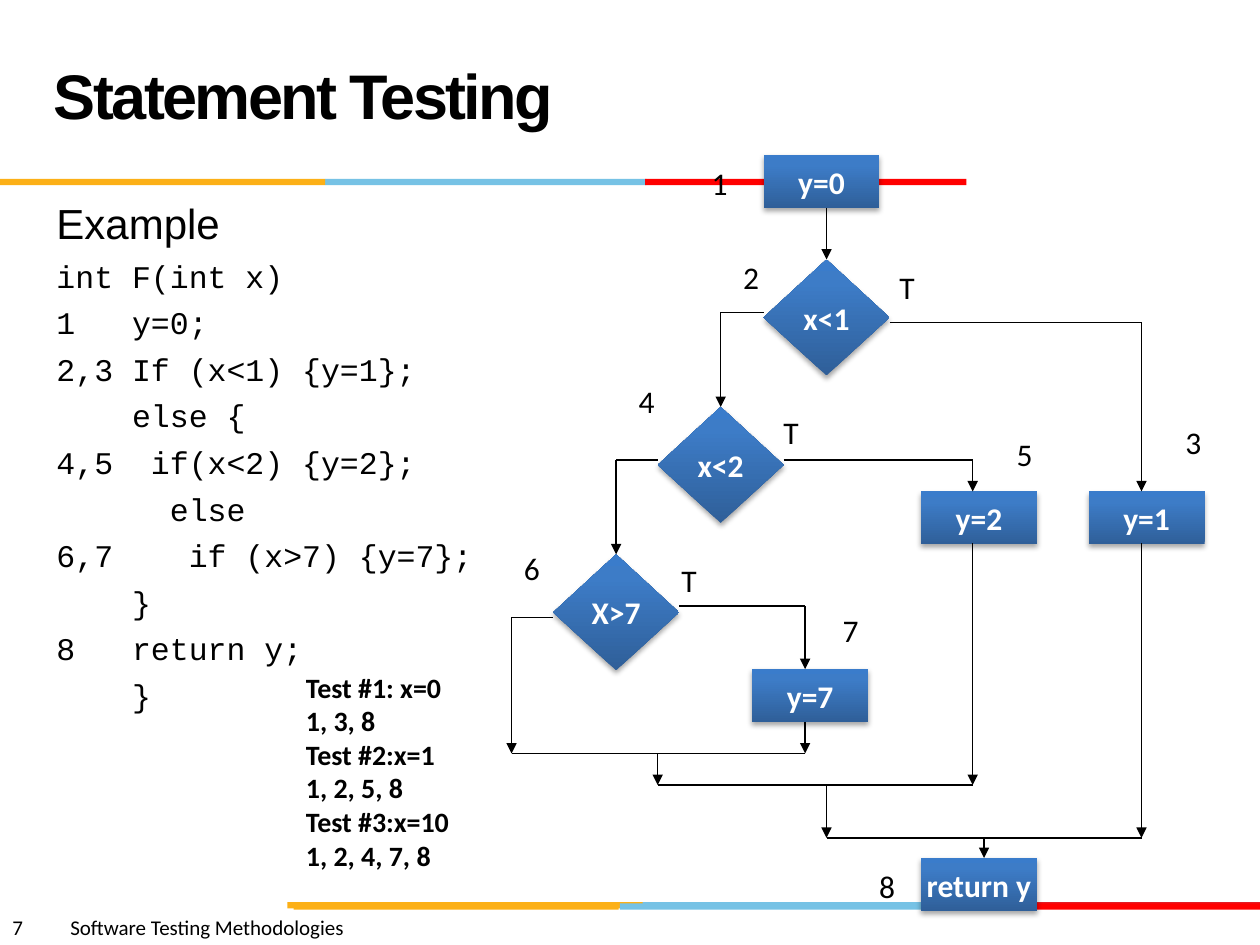
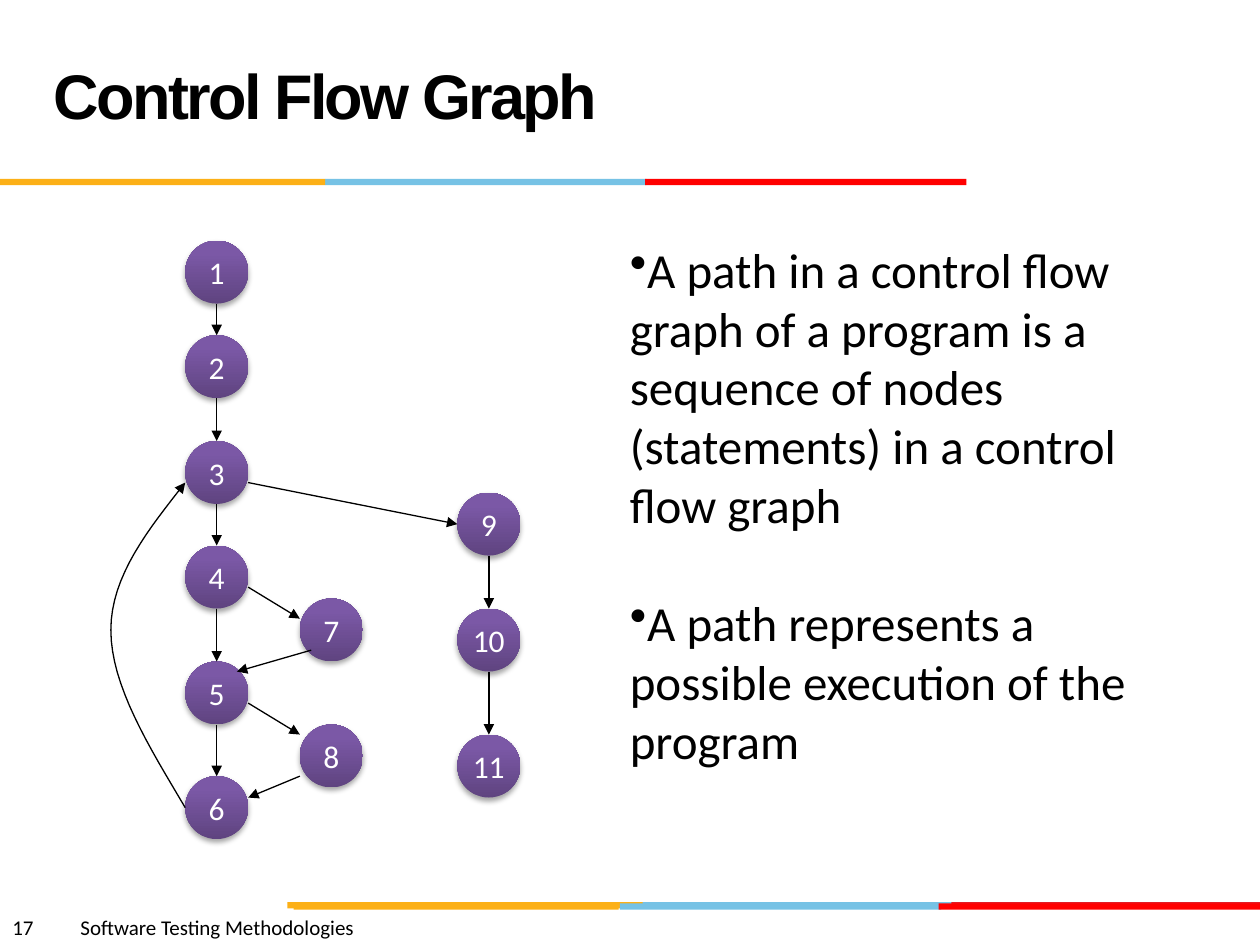
from pptx import Presentation
from pptx.dml.color import RGBColor
from pptx.enum.shapes import MSO_CONNECTOR, MSO_SHAPE
from pptx.enum.text import MSO_ANCHOR, PP_ALIGN
from pptx.oxml import parse_xml
from pptx.oxml.ns import nsdecls, qn
from pptx.util import Inches, Pt
from lxml import etree

RECT, DIAMOND = MSO_SHAPE.RECTANGLE, MSO_SHAPE.FLOWCHART_DECISION
CIRCLE = MSO_SHAPE.FLOWCHART_CONNECTOR
STRAIGHT = MSO_CONNECTOR.STRAIGHT
MIDDLE, CENTER = MSO_ANCHOR.MIDDLE, PP_ALIGN.CENTER

BLACK = RGBColor(0x00, 0x00, 0x00)
WHITE = RGBColor(0xFF, 0xFF, 0xFF)
ORANGE = RGBColor(0xFC, 0xB0, 0x17)
SKY = RGBColor(0x76, 0xC2, 0xE5)
CRIMSON = RGBColor(0xE3, 0x1C, 0x24)
RED = RGBColor(0xFF, 0x00, 0x00)
# Gradient stops from bottom to top: 0, 80 and 100 percent
BLUE_STOPS = [RGBColor(0x2F, 0x5F, 0x99), RGBColor(0x3D, 0x7C, 0xC7), RGBColor(0x3A, 0x7C, 0xCB)]
PURPLE_STOPS = [RGBColor(0x5F, 0x44, 0x80), RGBColor(0x7B, 0x58, 0xA6), RGBColor(0x7C, 0x57, 0xA8)]

# ---- Shared content ----
COURSE = "Software Testing Methodologies"
BAND_HEIGHT = 0.05
BANDS = [  # left, top, width, colour
    (5.06, 7.16, 2.55, SKY), (7.55, 7.16, 2.45, CRIMSON), (2.28, 7.16, 2.82, ORANGE),
    (4.92, 7.17, 2.55, SKY), (2.33, 7.17, 2.58, ORANGE), (7.45, 7.17, 2.55, RED),
    (2.58, 1.42, 2.55, SKY), (0, 1.42, 2.58, ORANGE), (5.12, 1.42, 2.55, RED),
]

# ---- Statement Testing ----
CODE = [
    "int F(int x)",
    "1   y=0;",
    "2,3 If (x<1) {y=1};",
    "    else {",
    "4,5  if(x<2) {y=2};",
    "      else",
    "6,7    if (x>7) {y=7};",
    "    }",
    "8   return y;",
    "    }",
]
TESTS = ["Test #1: x=0", "1, 3, 8", "Test #2:x=1", "1, 2, 5, 8", "Test #3:x=10", "1, 2, 4, 7, 8"]
STATEMENTS = {"y=0": (6.06, 1.23), "y=2": (7.31, 3.9), "y=1": (8.64, 3.9),
              "y=7": (5.97, 5.31), "return y": (7.31, 6.81)}
DECISIONS = {"x<1": (6.06, 2.06), "x<2": (5.22, 3.23), "X>7": (4.39, 4.4)}
ROUTES = [  # corner points, decision entered at its top
    ([(6.56, 1.65), (6.56, 2.06)], "x<1"),
    ([(6.06, 2.48), (5.72, 2.48), (5.72, 3.23)], "x<2"),
    ([(5.22, 3.65), (4.89, 3.65), (4.89, 4.4)], "X>7"),
    ([(4.39, 4.9), (4.06, 4.9), (4.06, 5.98)], None),
    ([(5.39, 4.81), (6.39, 4.81), (6.39, 5.31)], None),
    ([(6.39, 5.73), (6.39, 5.98)], None),
    ([(6.22, 3.65), (7.72, 3.65), (7.72, 3.9)], None),
    ([(7.06, 2.56), (9.06, 2.56), (9.06, 3.9)], None),
    ([(5.22, 5.98), (5.22, 6.23)], None),
    ([(7.72, 4.31), (7.72, 6.23)], None),
    ([(9.06, 4.31), (9.06, 6.65)], None),
    ([(6.56, 6.23), (6.56, 6.65)], None),
    ([(7.81, 6.65), (7.81, 6.81)], None),
]
MERGES = [(4.06, 6.39, 5.98), (5.22, 7.72, 6.23), (6.56, 9.06, 6.65)]  # from x, to x, y
LABELS = [
    ("T", 7.04, 2.08), ("T", 6.12, 3.23), ("T", 5.31, 4.4),
    ("1", 5.55, 1.25), ("2", 5.8, 2), ("3", 9.31, 3.31), ("4", 4.97, 2.98),
    ("5", 7.97, 3.4), ("6", 4.06, 4.31), ("7", 6.59, 4.8), ("8", 6.88, 6.83),
]

# ---- Control Flow Graph ----
NODE_SIZE = 0.5
NODE_COLUMNS = [  # left, {node: top}
    (1.47, {1: 1.91, 2: 2.66, 3: 3.5, 4: 4.33, 5: 5.25, 6: 6.16}),
    (2.38, {7: 4.75, 8: 5.75}),
    (3.63, {9: 3.91, 10: 4.83, 11: 5.83}),
]
STRAIGHT_DOWN = [0, 2]  # columns whose nodes follow one another
BRANCHES = [
    ((1.97, 4.66), (2.38, 4.91)), ((2.47, 5.16), (1.88, 5.33)),
    ((1.97, 5.58), (2.38, 5.83)), ((2.38, 6.16), (1.97, 6.33)),
    ((1.97, 3.83), (3.63, 4.16)),
]
LOOP_BACK = [  # Bezier curves from node 3 round to node 6
    [(1.47, 3.83), (1.18, 4.2), (0.88, 4.57), (0.88, 5)],
    [(0.88, 5), (0.88, 5.44), (1.18, 5.92), (1.47, 6.41)],
]
CURVE_STEPS = 16
PATH_NOTES = [
    "A path in a control flow graph of a program is a sequence of nodes (statements) "
    "in a control flow graph",
    "A path represents a possible execution of the program",
]


# ---- Helpers ----
def style(paragraph, size, font="Calibri", color=BLACK, bold=False):
    paragraph.font.size, paragraph.font.name = Pt(size), font
    paragraph.font.color.rgb, paragraph.font.bold = color, bold


def add_text(slide, left, top, width, height, lines, wrap=True):
    frame = slide.shapes.add_textbox(*map(Inches, (left, top, width, height))).text_frame
    frame.word_wrap = wrap
    frame.text = "\n".join(lines)
    return frame


def add_node(slide, kind, label, left, top, width, height, stops, bold):
    node = slide.shapes.add_shape(kind, *map(Inches, (left, top, width, height)))
    stop_xml = "".join(f'<a:gs pos="{pos}000"><a:srgbClr val="{color}"/></a:gs>'
                       for pos, color in zip((0, 80, 100), stops))
    properties = node._element.spPr
    properties.append(parse_xml(
        f'<a:gradFill {nsdecls("a")} rotWithShape="1"><a:gsLst>{stop_xml}</a:gsLst>'
        '<a:lin ang="16200000" scaled="0"/></a:gradFill>'))
    node.line.fill.background()
    properties.append(parse_xml(
        f'<a:effectLst {nsdecls("a")}><a:outerShdw blurRad="{Pt(3.1)}" dist="{Pt(1.8)}" '
        'dir="5400000" rotWithShape="0"><a:srgbClr val="000000"><a:alpha val="35000"/>'
        '</a:srgbClr></a:outerShdw></a:effectLst>'))
    frame = node.text_frame
    frame.text, frame.word_wrap, frame.vertical_anchor = label, False, MIDDLE
    frame.paragraphs[0].alignment = CENTER
    style(frame.paragraphs[0], 18, color=WHITE, bold=bold)
    return node


def thin_line(shape, arrow_end=None):
    shape.line.color.rgb, shape.line.width = BLACK, Pt(0.75)
    if arrow_end:
        etree.SubElement(shape.line._get_or_add_ln(), qn(f"a:{arrow_end}"), type="triangle")


def add_line(slide, start, end, arrow=False):
    line = slide.shapes.add_connector(STRAIGHT, *map(Inches, (*start, *end)))
    thin_line(line, "tailEnd" if arrow else None)
    etree.SubElement(line._element.spPr, qn("a:effectLst"))
    return line


def bezier_point(curve, t):
    weights = ((1 - t) ** 3, 3 * t * (1 - t) ** 2, 3 * t * t * (1 - t), t ** 3)
    return tuple(Inches(sum(w * point[axis] for w, point in zip(weights, curve)))
                 for axis in (0, 1))


def new_slide(prs, title, number, course_tab):
    slide = prs.slides.add_slide(prs.slide_layouts[6])
    for left, top, width, color in BANDS:
        band = slide.shapes.add_shape(RECT, *map(Inches, (left, top, width, BAND_HEIGHT)))
        band.shadow.inherit = False
        band.fill.solid()
        band.fill.fore_color.rgb = color
        band.line.fill.background()
    # Footer with the course name at a tab stop
    footer = add_text(slide, 0, 7.21, 5, 0.3, [f"{number}\t{COURSE}"]).paragraphs[0]
    tabs = etree.SubElement(footer._p.get_or_add_pPr(), qn("a:tabLst"))
    etree.SubElement(tabs, qn("a:tab"), pos=str(Inches(course_tab)), algn="l")
    style(footer, 12)
    # Title
    frame = add_text(slide, 0.33, 0.17, 6.92, 1.25, [title])
    frame.vertical_anchor = MIDDLE
    heading = frame.paragraphs[0]
    heading.line_spacing = Pt(36)
    style(heading, 36, "Arial", bold=True)
    heading.font._element.set("spc", "-150")
    return slide


# ---- Slides ----
def statement_testing(prs):
    slide = new_slide(prs, "Statement Testing", 7, 0.46)
    listing = add_text(slide, 0.35, 1.52, 3.67, 4.12, ["Example", *CODE])
    style(listing.paragraphs[0], 24, "Arial")
    for paragraph in listing.paragraphs[1:]:
        paragraph.space_before = Pt(5)
        style(paragraph, 18, "Courier New")

    for label, (left, top) in STATEMENTS.items():
        add_node(slide, RECT, label, left, top, 0.92, 0.42, BLUE_STOPS, True)
    decisions = {label: add_node(slide, DIAMOND, label, left, top, 1, 0.92, BLUE_STOPS, True)
                 for label, (left, top) in DECISIONS.items()}

    for points, decision in ROUTES:
        for start, end in zip(points, points[1:]):
            line = add_line(slide, start, end, arrow=end == points[-1])
        if decision:
            line.end_connect(decisions[decision], 0)
    for from_x, to_x, y in MERGES:
        add_line(slide, (from_x, y), (to_x, y))

    for paragraph in add_text(slide, 2.33, 5.27, 1.35, 1.72, TESTS, wrap=False).paragraphs:
        style(paragraph, 16, bold=True)
    for label, left, top in LABELS:
        style(add_text(slide, left, top, 0.34, 0.4, [label], wrap=False).paragraphs[0], 18)


def control_flow_graph(prs):
    slide = new_slide(prs, "Control Flow Graph", 17, 0.54)
    for left, nodes in NODE_COLUMNS:
        for number, top in nodes.items():
            add_node(slide, CIRCLE, str(number), left, top, NODE_SIZE, NODE_SIZE,
                     PURPLE_STOPS, False)

    # Arrows down the columns, then the branches
    for column in STRAIGHT_DOWN:
        left, nodes = NODE_COLUMNS[column]
        center, tops = left + NODE_SIZE / 2, list(nodes.values())
        for top, next_top in zip(tops, tops[1:]):
            add_line(slide, (center, top + NODE_SIZE), (center, next_top), arrow=True)
    for start, end in BRANCHES:
        add_line(slide, start, end, arrow=True)

    # Loop from node 6 back to node 3
    points = [bezier_point(curve, step / CURVE_STEPS)
              for curve in LOOP_BACK for step in range(CURVE_STEPS + 1)]
    outline = slide.shapes.build_freeform(*points[0])
    outline.add_line_segments(points[1:], close=False)
    loop = outline.convert_to_shape()
    loop.shadow.inherit = False
    loop.fill.background()
    thin_line(loop, "headEnd")

    notes = add_text(slide, 4.9, 1.85, 4.52, 4.34, PATH_NOTES)
    for paragraph in notes.paragraphs:
        etree.SubElement(paragraph._p.get_or_add_pPr(), qn("a:buChar"), char="•")
        style(paragraph, 28)
    notes.paragraphs[1].space_before = Pt(34)


def main():
    prs = Presentation()
    prs.slide_width, prs.slide_height = Inches(10), Inches(7.5)
    statement_testing(prs)
    control_flow_graph(prs)
    prs.save("out.pptx")


if __name__ == "__main__":
    main()
